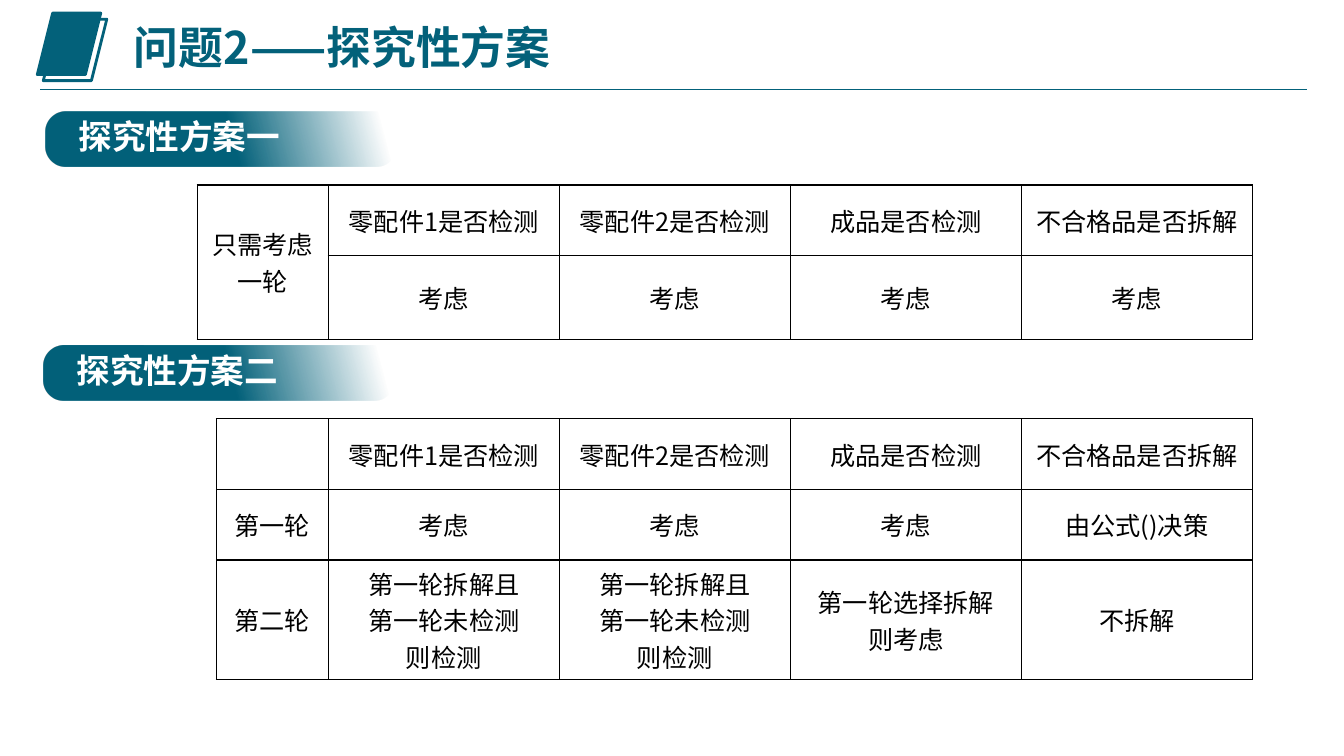
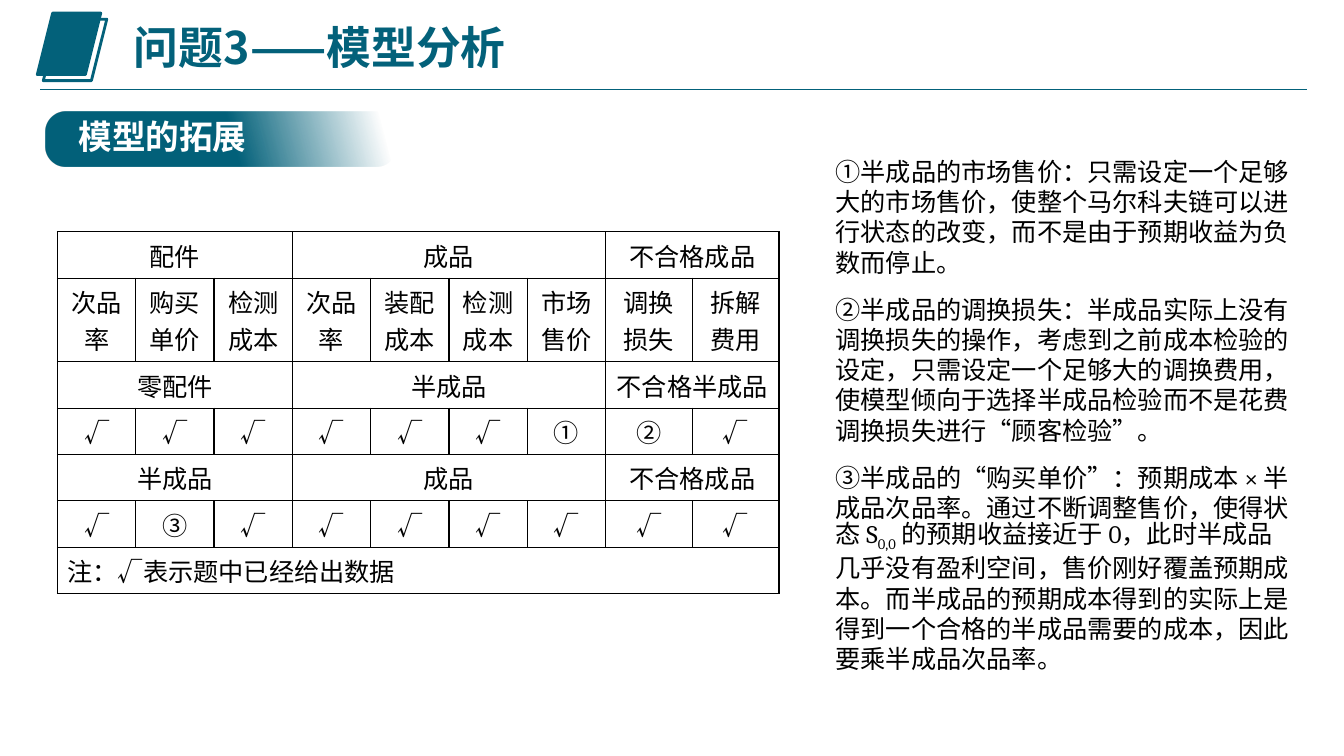
from dataclasses import dataclass
from itertools import takewhile

from lxml import etree
from pptx import Presentation
from pptx.dml.color import RGBColor
from pptx.enum.shapes import MSO_CONNECTOR, MSO_SHAPE
from pptx.enum.text import MSO_ANCHOR, MSO_AUTO_SIZE, PP_ALIGN
from pptx.oxml import parse_xml
from pptx.oxml.ns import nsdecls, qn
from pptx.util import Inches, Pt

PARALLELOGRAM = MSO_SHAPE.PARALLELOGRAM
ROUNDED = MSO_SHAPE.ROUNDED_RECTANGLE
STRAIGHT = MSO_CONNECTOR.STRAIGHT
MIDDLE = MSO_ANCHOR.MIDDLE
LEFT, CENTER = PP_ALIGN.LEFT, PP_ALIGN.CENTER
GROW = MSO_AUTO_SIZE.SHAPE_TO_FIT_TEXT

COLORS = {"teal": "03617A", "white": "FFFFFF", "black": "000000"}
SANS, SERIF = "Noto Sans CJK SC", "Cambria"
FORMATS = {
    "title": {"size": Pt(32), "bold": True, "name": SANS, "color": "teal"},
    "tag": {"size": Pt(24), "bold": True, "name": SANS, "color": "white"},
    "cell": {"size": Pt(18), "bold": False, "name": SANS, "color": "black"},
    "body": {"size": Pt(18), "bold": False, "name": SERIF, "color": "black"},
}
HEADING = {"line_spacing": 0.9}
REMARK = {"line_spacing": Pt(21.6), "space_after": Pt(12)}
GRID_COLUMNS, GRID_ROWS = 133.33, 75
UNIT = Inches(0.1)
TAG_STOPS = ((0, 100), (53, 100), (95, 0))
MERGE_LEFT, MERGE_UP = "<", "^"

QUESTIONS = ["零配件1是否检测", "零配件2是否检测", "成品是否检测", "不合格品是否拆解"]
RETEST = "第一轮拆解且\n第一轮未检测\n则检测"
SCHEME_ONE = [
    ["只需考虑\n一轮", *QUESTIONS],
    [MERGE_UP] + ["考虑"] * 4,
]
SCHEME_TWO = [
    ["", *QUESTIONS],
    ["第一轮"] + ["考虑"] * 3 + ["由公式()决策"],
    ["第二轮", RETEST, RETEST, "第一轮选择拆解\n则考虑", "不拆解"],
]


def stage_row(part, product, reject):
    return [part, *MERGE_LEFT * 2, product, *MERGE_LEFT * 3, reject, MERGE_LEFT]


EXTENSION = [
    stage_row("配件", "成品", "不合格成品"),
    ["次品率", "购买单价", "检测成本", "次品率", "装配成本", "检测成本",
     "市场售价", "调换损失", "拆解费用"],
    stage_row("零配件", "半成品", "不合格半成品"),
    list("√√√√√√①②√"),
    stage_row("半成品", "成品", "不合格成品"),
    list("√③√√√√√√√"),
    ["注：√表示题中已经给出数据", *MERGE_LEFT * 8],
]
REMARKS = [
    [("①半成品的市场售价：只需设定一个足够大的市场售价，使整个马尔科夫链可以"
      "进行状态的改变，而不是由于预期收益为负数而停止。", 0)],
    [("②半成品的调换损失：半成品实际上没有调换损失的操作，考虑到之前成本检验的"
      "设定，只需设定一个足够大的调换费用，使模型倾向于选择半成品检验而不是花费"
      "调换损失进行“顾客检验”。", 0)],
    [("③半成品的“购买单价”：预期成本 × 半成品次品率。通过不断调整售价，使得状态 S", 0),
     ("0,0", -25),
     (" 的预期收益接近于 0，此时半成品几乎没有盈利空间，售价刚好覆盖预期成本。"
      "而半成品的预期成本得到的实际上是得到一个合格的半成品需要的成本，"
      "因此要乘半成品次品率。", 0)],
]


def grid(count):
    return round(count * UNIT)


def rgb(name):
    return RGBColor.from_string(COLORS[name])


@dataclass
class Box:
    left: float
    top: float
    width: float
    height: float

    def inner(self, left, top, width, height):
        return Box(self.left + left, self.top + top, width, height)

    def lengths(self):
        return [grid(n) for n in (self.left, self.top, self.width, self.height)]


def format_span(span, style):
    values = dict(FORMATS[style])
    span.font.color.rgb = rgb(values.pop("color"))
    for name, value in values.items():
        setattr(span.font, name, value)
    properties = span._r.get_or_add_rPr()
    properties.set("lang", "zh-CN")
    etree.SubElement(properties, qn("a:ea")).set("typeface", SANS)


def write(frame, paragraphs, style, layout):
    frame.word_wrap = True
    for index, spans in enumerate(paragraphs):
        para = frame.add_paragraph() if index else frame.paragraphs[0]
        for name, value in layout.items():
            setattr(para, name, value)
        for text, baseline in spans:
            span = para.add_run()
            span.text = text
            format_span(span, style)
            if baseline:
                span._r.get_or_add_rPr().set("baseline", str(baseline * 1000))


def plain(text):
    return [[(line, 0)] for line in text.split("\n")]


def add_text(page, box, paragraphs, style, layout):
    frame = page.shapes.add_textbox(*box.lengths()).text_frame
    write(frame, paragraphs, style, layout)
    return frame


def add_header(page, box, title):
    for offset, filled in ((0, True), (0.6, False)):
        sheet = page.shapes.add_shape(
            PARALLELOGRAM, *box.inner(offset, offset, 6.3, 6.1).lengths())
        sheet.shadow.inherit = False
        sheet.line.color.rgb = rgb("teal")
        sheet.line.width = Pt(2)
        if filled:
            sheet.fill.solid()
            sheet.fill.fore_color.rgb = rgb("teal")
        else:
            sheet.fill.background()
    left, bottom = grid(box.left + 0.3), grid(box.top + box.height)
    rule = page.shapes.add_connector(
        STRAIGHT, left, bottom, grid(box.left + box.width), bottom)
    rule.line.color.rgb = rgb("teal")
    rule.line.width = Pt(0.75)
    etree.SubElement(rule._element.spPr, qn("a:effectLst"))
    add_text(page, box.inner(8.6, 0.8, 86.6, 6.7), plain(title), "title", HEADING)


def fading_fill():
    stops = "".join(
        f'<a:gs pos="{position * 1000}"><a:srgbClr val="{COLORS["teal"]}">'
        f'<a:alpha val="{alpha * 1000}"/></a:srgbClr></a:gs>'
        for position, alpha in TAG_STOPS)
    return parse_xml(
        f'<a:gradFill {nsdecls("a")} rotWithShape="1"><a:gsLst>{stops}</a:gsLst>'
        f'<a:lin ang="{345 * 60000}" scaled="0"/></a:gradFill>')


def add_tag(page, box, text):
    band = page.shapes.add_shape(ROUNDED, *box.lengths())
    band.adjustments[0] = 0.37
    band.shadow.inherit = False
    band.line.fill.background()
    band._element.spPr.find(qn("a:prstGeom")).addnext(fading_fill())
    add_text(page, box.inner(2.3, 0.4, 22.9, 5), plain(text), "tag", HEADING)


def add_borders(cell):
    properties = cell._tc.get_or_add_tcPr()
    for side in "LRTB":
        properties.append(parse_xml(
            f'<a:ln{side} {nsdecls("a")} w="{Pt(1)}"><a:solidFill>'
            f'<a:srgbClr val="{COLORS["black"]}"/></a:solidFill></a:ln{side}>'))


def merged(cells, mark):
    return sum(1 for _ in takewhile(lambda text: text == mark, cells))


def add_grid_table(page, box, rows, widths, heights, note_row=None):
    table = page.shapes.add_table(len(rows), len(widths), *box.lengths()).table
    table.first_row = table.horz_banding = False
    for column, width in zip(table.columns, widths):
        column.width = grid(width)
    for row, height in zip(table.rows, heights):
        row.height = grid(height)
    for r, texts in enumerate(rows):
        for c, text in enumerate(texts):
            cell = table.cell(r, c)
            add_borders(cell)
            cell.fill.background()
            if text in (MERGE_LEFT, MERGE_UP):
                continue
            cell.vertical_anchor = MIDDLE
            across = merged(texts[c + 1:], MERGE_LEFT)
            down = merged([below[c] for below in rows[r + 1:]], MERGE_UP)
            if across or down:
                cell.merge(table.cell(r + down, c + across))
            if text:
                align = LEFT if r == note_row else CENTER
                write(cell.text_frame, plain(text), "cell", {"alignment": align})


def start_page(deck, title):
    page = deck.slides.add_slide(deck.slide_layouts[6])
    add_header(page, Box(3.7, 1.3, 126, 7.6), title)
    return page


def scheme_page(deck):
    page = start_page(deck, "问题2——探究性方案")
    sections = (
        ("探究性方案一", Box(4.5, 11.1, 34.8, 5.4), SCHEME_ONE, 13, [7, 8.3]),
        ("探究性方案二", Box(4.3, 34.3, 34.8, 5.4), SCHEME_TWO, 11.1, [7, 7, 11.9]),
    )
    table_right = 124.25
    for name, box, rows, label_width, heights in sections:
        widths = [label_width] + [22.92] * 4
        add_tag(page, box, name)
        area = Box(table_right - sum(widths), box.top + 7.25, sum(widths), sum(heights))
        add_grid_table(page, area, rows, widths, heights)


def analysis_page(deck):
    page = start_page(deck, "问题3——模型分析")
    add_tag(page, Box(4.5, 11.1, 34.8, 5.4), "模型的拓展")
    widths = [7.77] * 7 + [8.6] * 2
    heights = [4.6, 8.3] + [4.6] * 5
    area = Box(5.7, 23, sum(widths), sum(heights))
    add_grid_table(page, area, EXTENSION, widths, heights, len(EXTENSION) - 1)
    remarks = add_text(page, Box(81.9, 15, 47.1, 52.8), REMARKS, "body", REMARK)
    remarks.auto_size = GROW


def main():
    deck = Presentation()
    deck.slide_width, deck.slide_height = grid(GRID_COLUMNS), grid(GRID_ROWS)
    scheme_page(deck)
    analysis_page(deck)
    deck.save("out.pptx")


if __name__ == "__main__":
    main()
